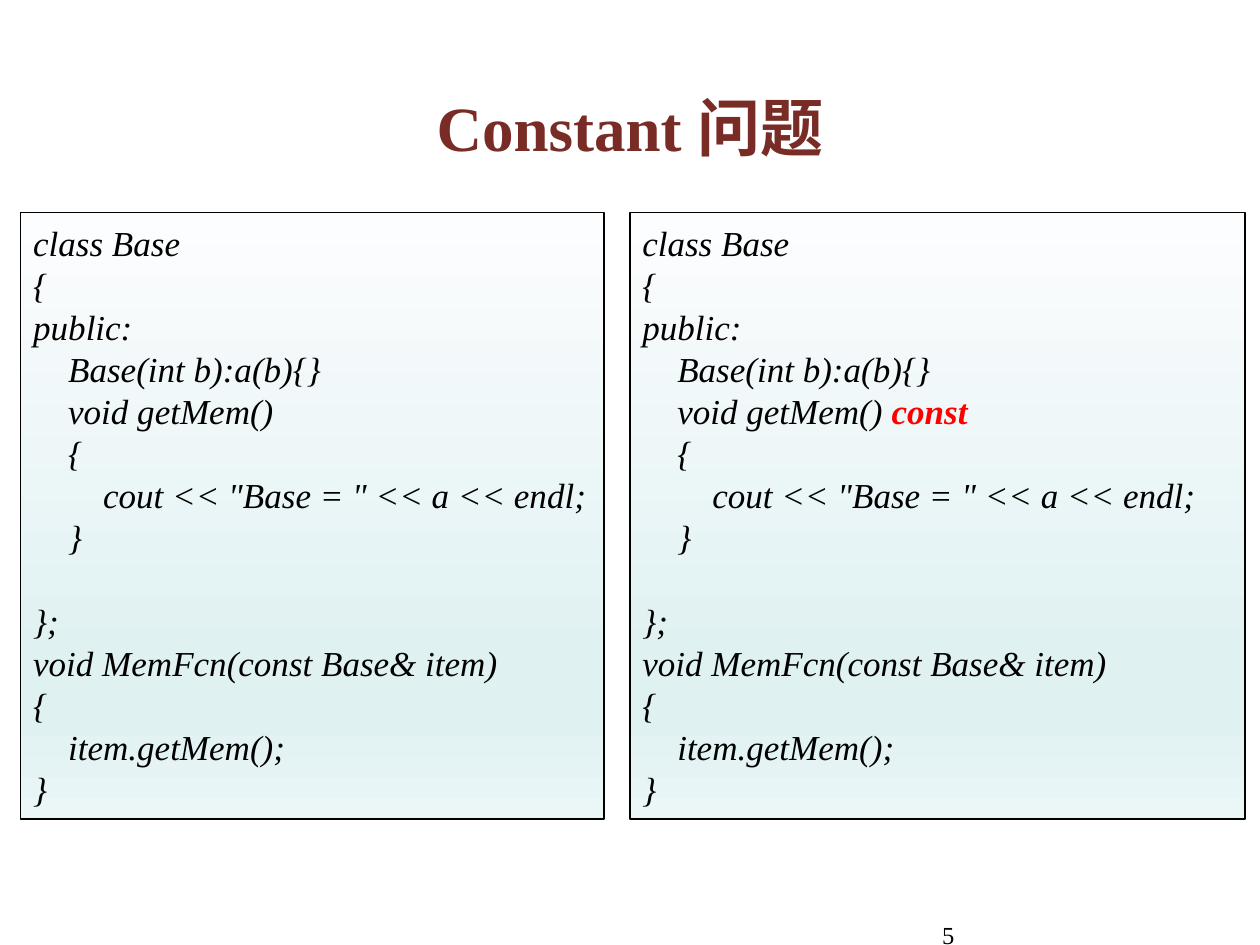
from copy import deepcopy
from dataclasses import dataclass

from pptx import Presentation
from pptx.dml.color import RGBColor
from pptx.enum.shapes import MSO_SHAPE
from pptx.enum.text import MSO_ANCHOR, PP_ALIGN
from pptx.oxml.ns import qn
from pptx.slide import Slide
from pptx.text.text import _Paragraph as Paragraph
from pptx.util import Cm, Pt

BLACK = RGBColor(0x00, 0x00, 0x00)
RED = RGBColor(0xFF, 0x00, 0x00)
MAROON = RGBColor(0x79, 0x2B, 0x25)
ICE = RGBColor(0xFC, 0xFD, 0xFE)
AQUA = RGBColor(0xE0, 0xF1, 0xF2)
PALE_AQUA = RGBColor(0xEB, 0xF6, 0xF7)
PANEL_GRADIENT = ((0, ICE), (0.74, AQUA), (0.83, AQUA), (1, PALE_AQUA))

SERIF = "Times New Roman"
TITLE = {"name": SERIF, "size": Pt(36), "bold": True, "color": MAROON}
NUMBER = {"name": SERIF, "size": Pt(14), "color": BLACK}
CODE = {"name": SERIF, "size": Pt(20), "italic": True, "color": BLACK}
KEYWORD = CODE | {"bold": True, "color": RED}

CLASS_START = """class Base
{
public:
    Base(int b):a(b){}
    void getMem()"""
CLASS_BODY = """
    {
        cout << "Base = " << a << endl;
    }
"""
CLASS_END = "};"
FUNCTION = """void MemFcn(const Base& item)
{
    item.getMem();
}"""


@dataclass(frozen=True)
class Box:
    left: float
    top: float
    width: float
    height: float

    def lengths(self) -> tuple[Cm, ...]:
        return tuple(Cm(n) for n in (self.left, self.top, self.width, self.height))


@dataclass(frozen=True)
class CodePanel:
    box: Box
    qualifier: str = ""


PANELS = (
    CodePanel(Box(0.42, 4.29, 11.76, 12.22)),
    CodePanel(Box(12.7, 4.29, 12.4, 12.22), " const"),
)


def add_text(paragraph: Paragraph, text: str, style: dict) -> None:
    """Append styled text, turning each newline into a line break."""
    for index, line in enumerate(text.split("\n")):
        if index:
            paragraph.add_line_break()
        if not line:
            continue
        run = paragraph.add_run()
        run.text = line
        for key, value in style.items():
            if key == "color":
                run.font.color.rgb = value
            else:
                setattr(run.font, key, value)


def add_label(slide: Slide, box: Box, text: str, style: dict,
              align: PP_ALIGN, anchor: MSO_ANCHOR) -> None:
    frame = slide.shapes.add_textbox(*box.lengths()).text_frame
    frame.word_wrap = True
    frame.vertical_anchor = anchor
    paragraph = frame.paragraphs[0]
    paragraph.alignment = align
    add_text(paragraph, text, style)


def fill_gradient(shape) -> None:
    """Fill from top to bottom with the stops of PANEL_GRADIENT."""
    shape.fill.gradient()
    shape.fill.gradient_angle = 270
    stop_list = next(shape._element.iter(qn("a:gsLst")))
    while len(stop_list) < len(PANEL_GRADIENT):
        stop_list.append(deepcopy(stop_list[0]))
    for stop, (position, color) in zip(shape.fill.gradient_stops, PANEL_GRADIENT):
        stop.position = position
        stop.color.rgb = color


def add_code_panel(slide: Slide, panel: CodePanel) -> None:
    shape = slide.shapes.add_shape(MSO_SHAPE.RECTANGLE, *panel.box.lengths())
    shape.shadow.inherit = False
    fill_gradient(shape)
    shape.line.color.rgb = BLACK
    shape.line.width = Pt(0.75)

    frame = shape.text_frame
    frame.word_wrap = True
    frame.vertical_anchor = MSO_ANCHOR.MIDDLE
    class_head = frame.paragraphs[0]
    class_end, function = frame.add_paragraph(), frame.add_paragraph()
    for paragraph in (class_head, class_end, function):
        paragraph.alignment = PP_ALIGN.LEFT
        paragraph.line_spacing = Pt(24)
    add_text(class_head, CLASS_START, CODE)
    add_text(class_head, panel.qualifier, KEYWORD)
    add_text(class_head, CLASS_BODY, CODE)
    add_text(class_end, CLASS_END, CODE)
    add_text(function, FUNCTION, CODE)


def main() -> None:
    deck = Presentation()
    deck.slide_width, deck.slide_height = Cm(25.4), Cm(19.05)
    slide = deck.slides.add_slide(deck.slide_layouts[6])
    add_label(slide, Box(17.15, 18.42, 2.34, 0.63), "5", NUMBER,
              PP_ALIGN.RIGHT, MSO_ANCHOR.TOP)
    add_label(slide, Box(0.84, 0.74, 23.72, 3.6), "Constant 问题", TITLE,
              PP_ALIGN.CENTER, MSO_ANCHOR.MIDDLE)
    for panel in PANELS:
        add_code_panel(slide, panel)
    deck.save("out.pptx")


if __name__ == "__main__":
    main()
